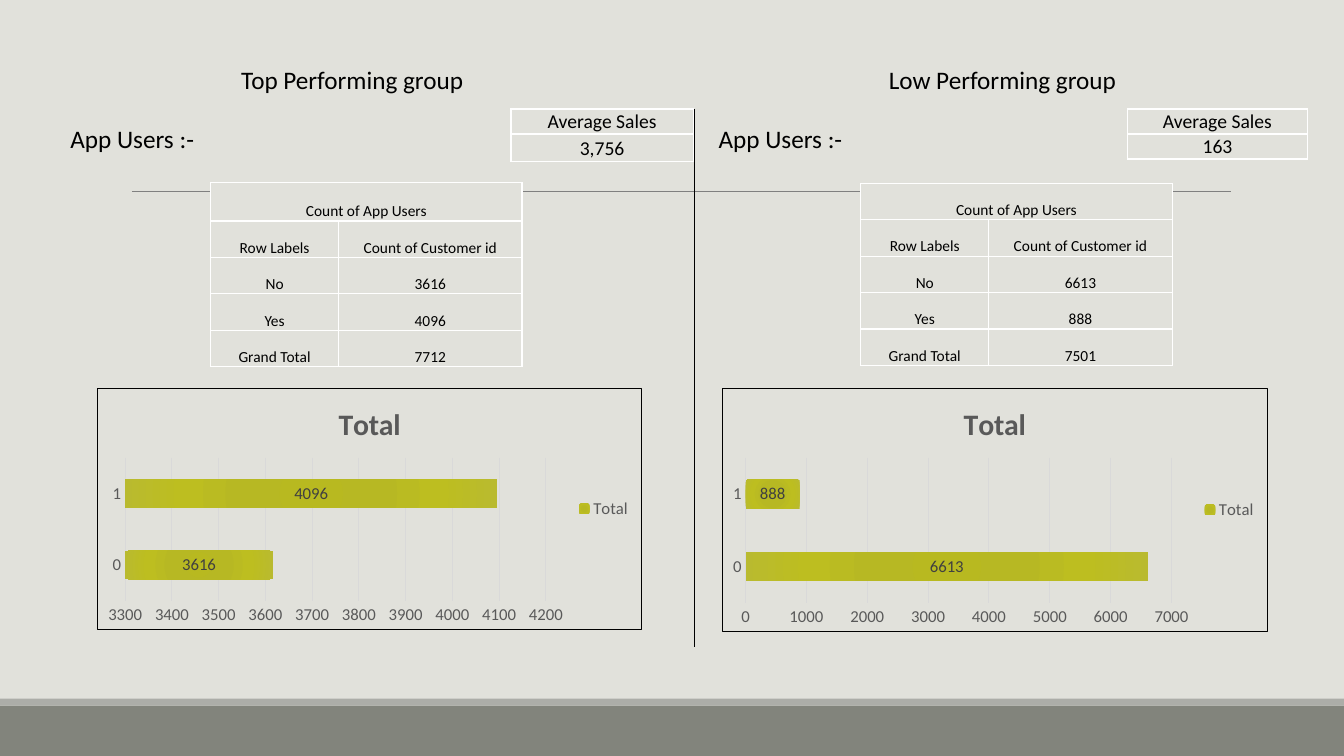
from lxml import etree
from pptx import Presentation
from pptx.chart.data import CategoryChartData
from pptx.dml.color import RGBColor
from pptx.enum.chart import (XL_CHART_TYPE as ChartType, XL_LABEL_POSITION as LabelPos,
                             XL_LEGEND_POSITION as LegendPos, XL_TICK_MARK as Tick)
from pptx.enum.shapes import MSO_CONNECTOR as Connector, MSO_SHAPE as Shape
from pptx.enum.text import MSO_ANCHOR as Anchor, MSO_AUTO_SIZE as AutoSize, PP_ALIGN as Align
from pptx.oxml import parse_xml
from pptx.oxml.ns import qn
from pptx.util import Pt

# Content: one dict per sales group, boxes as left, top, width (and height)
FONT, PAPER, GREY = "Calibri", "E1E1DB", "595959"
GROUPS = [
    {"heading": "Top Performing group", "heading_idx": 1, "heading_left": 82.8,
     "label_left": 43.2, "sales": "3,756", "sales_box": (365, 77.8, 130.3),
     "sales_rows": (17.9, 19.4), "users": (3616, 4096, 7712),
     "users_box": (150.5, 130.3), "users_rows": (27.6, 26, 26, 26, 26),
     "chart_box": (69.2, 277.2, 389.6, 172.6), "scale": (3300, 4200, 100)},
    {"heading": "Low Performing group", "heading_idx": 3, "heading_left": 547.2,
     "label_left": 506.2, "sales": "163", "sales_box": (805.5, 77.8, 128.3),
     "sales_rows": (17.9, 17.9), "users": (6613, 888, 7501),
     "users_box": (614.9, 131), "users_rows": (26,) * 5,
     "chart_box": (515.5, 277.2, 390.2, 174.2), "scale": (0, 7000, 1000)},
]
USER_COLUMNS = (91.4, 131)
BAR_STOPS = [(0, "B8B920"), (34, "B7B823"), (70, "BDBE20"), (100, "B9BA2F")]
FLOOR_BANDS = [(504, 36, "82847C"), (499, 5, "ACADA8")]
RULES = [((94.3, 136.8), (879.1, 136.8), "808080", 0.5),
         ((496.1, 77.8), (496.1, 462.2), "000000", 1)]

prs = Presentation()
prs.slide_width, prs.slide_height = Pt(960), Pt(540)
slide = prs.slides.add_slide(prs.slide_layouts[4])
shapes = slide.shapes


def rgb(hex_color):
    return RGBColor.from_string(hex_color)


def style(font, size, color="000000", bold=False):
    font.name, font.size, font.bold = FONT, Pt(size), bold
    font.color.rgb = rgb(color)


def write(frame, text, size=18, align=Align.CENTER, **font_format):
    paragraph = frame.paragraphs[0]
    paragraph.alignment = align
    paragraph.space_before = Pt(0)
    run = paragraph.add_run()
    run.text = text
    style(run.font, size, **font_format)


def place(shape, left, top, width, height):
    shape.left, shape.top, shape.width, shape.height = map(Pt, (left, top, width, height))


def add_grid(left, top, columns, row_heights, rows, size):
    """Add a white-ruled table; a row with one text spans all columns."""
    grid = shapes.add_table(len(rows), len(columns), Pt(left), Pt(top),
                            Pt(sum(columns)), Pt(sum(row_heights))).table
    grid.first_row = grid.horz_banding = False
    for column, width in zip(grid.columns, columns):
        column.width = Pt(width)
    for r, (texts, height) in enumerate(zip(rows, row_heights)):
        grid.rows[r].height = Pt(height)
        if len(texts) < len(columns):
            grid.cell(r, 0).merge(grid.cell(r, len(columns) - 1))
        for c in range(len(columns)):
            cell = grid.cell(r, c)
            cell.fill.solid()
            cell.fill.fore_color.rgb = rgb(PAPER)
            cell.vertical_anchor = Anchor.BOTTOM
            cell.margin_left = cell.margin_right = cell.margin_top = Pt(0.7)
            cell.margin_bottom = Pt(0)
            add_borders(cell)
            if c < len(texts):
                write(cell.text_frame, texts[c], size)


def add_borders(cell):
    properties = cell._tc.get_or_add_tcPr()
    for i, side in enumerate(("lnL", "lnR", "lnT", "lnB")):
        line = etree.Element(qn(f"a:{side}"), w=str(Pt(1)))
        fill = etree.SubElement(line, qn("a:solidFill"))
        etree.SubElement(fill, qn("a:srgbClr"), val="FFFFFF")
        properties.insert(i, line)


def shade_bars(series):
    """Give the bars a gradient that runs from one corner."""
    series.format.fill.solid()
    solid = series.format.fill._xPr.find(qn("a:solidFill"))
    gradient = etree.Element(qn("a:gradFill"), rotWithShape="1")
    stops = etree.SubElement(gradient, qn("a:gsLst"))
    for percent, color in BAR_STOPS:
        stop = etree.SubElement(stops, qn("a:gs"), pos=str(percent * 1000))
        etree.SubElement(stop, qn("a:srgbClr"), val=color)
    route = etree.SubElement(gradient, qn("a:path"))
    route.set("path", "circle")
    etree.SubElement(route, qn("a:fillToRect"), {side: "100000" for side in "ltrb"})
    solid.getparent().replace(solid, gradient)


def add_user_chart(box, values, scale):
    data = CategoryChartData()
    data.categories = ["0", "1"]
    data.add_series("Total", values)
    chart = shapes.add_chart(ChartType.BAR_STACKED, *map(Pt, box), data).chart
    style(chart.font, 10)
    chart.has_title = True
    write(chart.chart_title.text_frame, "Total", 21.3, color=GREY, bold=True)
    chart.has_legend = True
    chart.legend.position = LegendPos.RIGHT
    chart.legend.include_in_layout = False
    style(chart.legend.font, 12, GREY)

    # Axes
    users, customers = chart.category_axis, chart.value_axis
    for axis in (users, customers):
        axis.major_tick_mark = axis.minor_tick_mark = Tick.NONE
        style(axis.tick_labels.font, 12, GREY)
    users.format.line.color.rgb = rgb("D9D9D9")
    users.format.line.width = Pt(1)
    customers.format.line.fill.background()
    customers.minimum_scale, customers.maximum_scale, customers.major_unit = scale
    customers.has_major_gridlines = True
    customers.major_gridlines.format.line.color.rgb = rgb("D9D9D9")
    customers.major_gridlines.format.line.width = Pt(0.75)

    # Bars and their values
    plot = chart.plots[0]
    plot.gap_width, plot.overlap, plot.vary_by_categories = 150, 100, False
    shade_bars(plot.series[0])
    labels = plot.series[0].data_labels
    labels.show_value, labels.position = True, LabelPos.CENTER
    style(labels.font, 12, "404040")

    # Frame round the chart
    chart._chartSpace.find(qn("c:chart")).addnext(parse_xml(
        '<c:spPr xmlns:c="http://schemas.openxmlformats.org/drawingml/2006/chart" '
        'xmlns:a="http://schemas.openxmlformats.org/drawingml/2006/main"><a:noFill/>'
        f'<a:ln w="{Pt(0.75)}"><a:solidFill><a:srgbClr val="000000"/></a:solidFill></a:ln>'
        '</c:spPr>'))


# Background, floor bands and rules
slide.background.fill.solid()
slide.background.fill.fore_color.rgb = rgb(PAPER)
for top, height, color in FLOOR_BANDS:
    band = shapes.add_shape(Shape.RECTANGLE, 0, Pt(top), Pt(960), Pt(height))
    band.shadow.inherit = False
    band.fill.solid()
    band.fill.fore_color.rgb = rgb(color)
    band.line.fill.background()
for start, end, color, width in RULES:
    rule = shapes.add_connector(Connector.STRAIGHT, *map(Pt, start + end))
    rule.line.color.rgb = rgb(color)
    rule.line.width = Pt(width)
    etree.SubElement(rule._element.spPr, qn("a:effectLst"))

# The two groups
headings = {holder.placeholder_format.idx: holder for holder in slide.placeholders}
for group in GROUPS:
    heading = headings.pop(group["heading_idx"])
    place(heading, group["heading_left"], 42.5, 337.7, 29)
    heading.text_frame.vertical_anchor = Anchor.TOP
    heading.text_frame.auto_size = AutoSize.NONE
    write(heading.text_frame, group["heading"])

    label = shapes.add_textbox(Pt(group["label_left"]), Pt(84.2), Pt(150.5), Pt(29))
    label.text_frame.word_wrap = True
    write(label.text_frame, "App Users :-", align=Align.LEFT)

    left, top, width = group["sales_box"]
    add_grid(left, top, (width,), group["sales_rows"],
             [("Average Sales",), (group["sales"],)], 14)

    no, yes, total = group["users"]
    add_grid(*group["users_box"], USER_COLUMNS, group["users_rows"],
             [("Count of App Users",), ("Row Labels", "Count of Customer id"),
              ("No", str(no)), ("Yes", str(yes)), ("Grand Total", str(total))], 11)
    add_user_chart(group["chart_box"], (no, yes), group["scale"])

# Unused placeholders
for holder in headings.values():
    holder._element.getparent().remove(holder._element)

prs.save("out.pptx")
